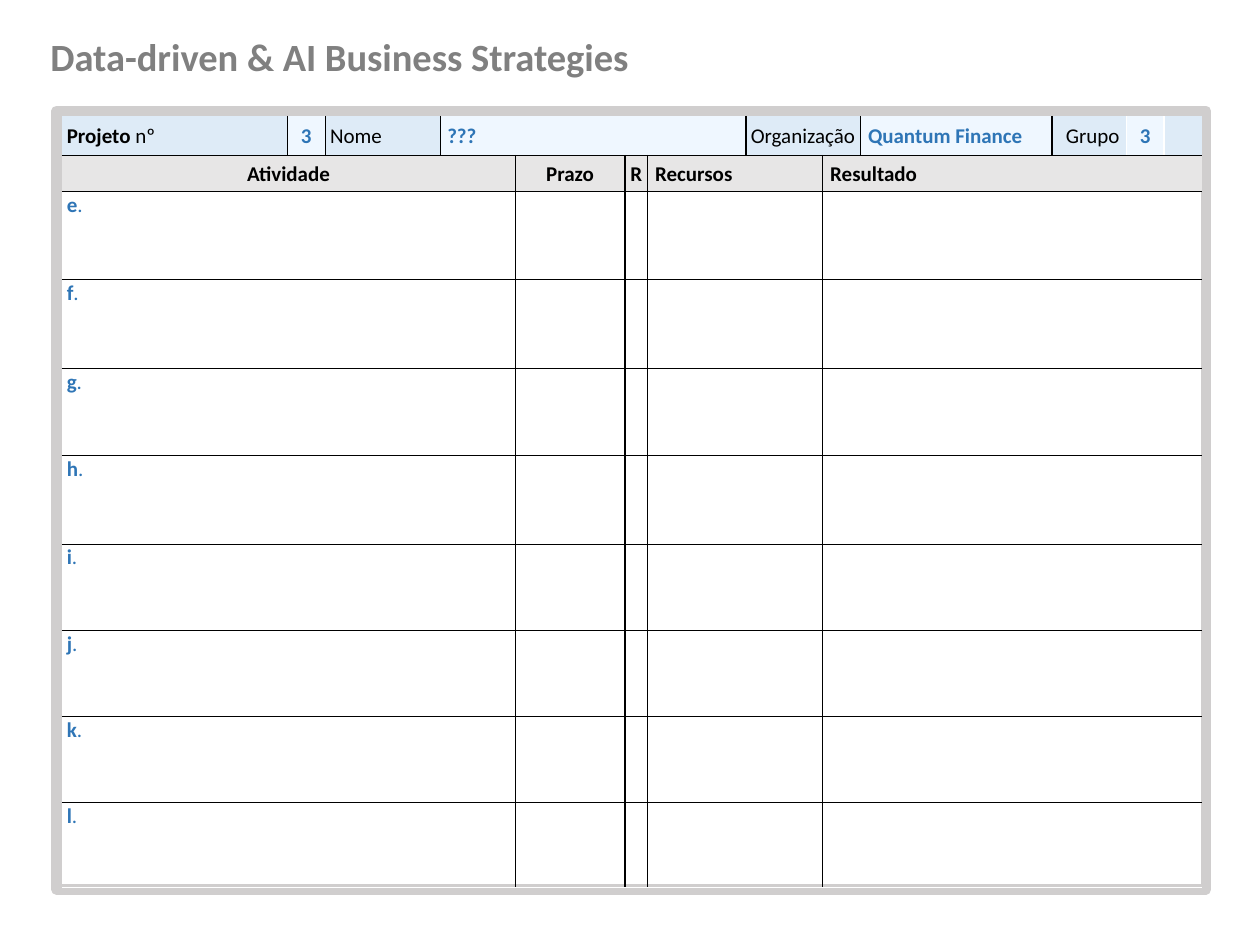
from lxml import etree
from pptx import Presentation
from pptx.dml.color import RGBColor
from pptx.enum.shapes import MSO_SHAPE
from pptx.enum.text import MSO_ANCHOR, MSO_AUTO_SIZE, PP_ALIGN
from pptx.oxml.ns import qn
from pptx.util import Inches, Pt

LEFT, CENTER = PP_ALIGN.LEFT, PP_ALIGN.CENTER
TOP, MIDDLE = MSO_ANCHOR.TOP, MSO_ANCHOR.MIDDLE
RECT = MSO_SHAPE.RECTANGLE
FIXED = MSO_AUTO_SIZE.NONE

BLACK = RGBColor(0x00, 0x00, 0x00)
WHITE = RGBColor(0xFF, 0xFF, 0xFF)
GRAY = RGBColor(0x80, 0x80, 0x80)
FRAME = RGBColor(0xD0, 0xCE, 0xCE)
HEAD = RGBColor(0xE7, 0xE6, 0xE6)
LABEL = RGBColor(0xDE, 0xEB, 0xF7)
ENTRY = RGBColor(0xEF, 0xF7, 0xFF)
BLUE = RGBColor(0x2E, 0x75, 0xB6)

FONT = "Calibri"
COLS = [1.79, 0.3, 0.91, 0.6, 0.87, 0.18, 0.78, 0.61, 0.3, 1.52, 0.59, 0.3, 0.3]
ROWS = [0.28, 0.28, 0.7, 0.71, 0.69, 0.7, 0.69, 0.68, 0.68, 0.68]
THIN, THICK, PALE = (BLACK, 0.25), (BLACK, 1), (WHITE, 1)
END = (WHITE, 0.25)
INSET = {
    "margin_left": Inches(0.01),
    "margin_top": Inches(0.01),
    "margin_right": Inches(0.01),
    "margin_bottom": 0,
}

PROJECT = [
    ([("Projeto ", True), ("nº", False)], 1, LABEL, BLACK, 0.03, THIN),
    ([("3", True)], 1, ENTRY, BLUE, None, THIN),
    ([("Nome", False)], 1, LABEL, BLACK, 0.03, THIN),
    ([("???", True)], 4, ENTRY, BLUE, 0.05, THICK),
    ([("Organização", False)], 2, LABEL, BLACK, 0.03, THIN),
    ([("Quantum Finance", True)], 1, ENTRY, BLUE, 0.05, THICK),
    ([("Grupo", False)], 1, LABEL, BLACK, 0.1, PALE),
    ([("3", True)], 1, ENTRY, BLUE, None, PALE),
    ([], 1, LABEL, BLACK, 0, None),
]
FIELDS = [
    ("Atividade", 4, None),
    ("Prazo", 1, None),
    ("R", 1, None),
    ("Recursos", 2, 0.05),
    ("Resultado", 5, 0.05),
]


def apply(item, form):
    for key, value in form.items():
        setattr(item, key, value)


def write(para, runs, size, color):
    for text, bold in runs:
        run = para.add_run()
        run.text = text
        apply(run.font, {"name": FONT, "size": Pt(size), "bold": bold})
        run.font.color.rgb = color


def edge(cell, side, line):
    color, width = line or (None, 0)
    props = cell._tc.get_or_add_tcPr()
    node = etree.SubElement(props, qn("a:ln" + side), w=str(Pt(width)))
    if line:
        fill = etree.SubElement(node, qn("a:solidFill"))
        etree.SubElement(fill, qn("a:srgbClr"), val=str(color))
    else:
        etree.SubElement(node, qn("a:noFill"))


def paint(cell, fill, lines):
    for side, line in zip("LRTB", lines):
        edge(cell, side, line)
    if fill:
        cell.fill.solid()
        cell.fill.fore_color.rgb = fill
    else:
        cell.fill.background()


def add_row(table, row, items, above, below, anchor):
    col, left = 0, None
    for runs, span, fill, color, indent, right in items:
        cell = table.cell(row, col)
        if span > 1:
            cell.merge(table.cell(row, col + span - 1))
        for part in range(col, col + span):
            paint(table.cell(row, part), fill, (left, right, above, below))
        apply(cell, {**INSET, "vertical_anchor": anchor})
        para = cell.text_frame.paragraphs[0]
        para.alignment = CENTER if indent is None else LEFT
        if indent:
            para._p.get_or_add_pPr().set("marL", str(Inches(indent)))
        write(para, runs, 12, color)
        col, left = col + span, right


def add_title(slide):
    title = slide.shapes.title
    apply(title, {
        "left": Inches(0.3),
        "top": Inches(0.21),
        "width": Inches(5.17),
        "height": Inches(0.47),
    })
    apply(title.text_frame, {
        "auto_size": FIXED,
        "word_wrap": True,
        "vertical_anchor": TOP,
    })
    para = title.text_frame.paragraphs[0]
    apply(para, {
        "alignment": LEFT,
        "line_spacing": 1,
        "space_before": 0,
        "space_after": Pt(2),
    })
    write(para, [("Data-driven & AI Business Strategies", True)], 22, GRAY)


def add_frame(slide):
    frame = slide.shapes.add_shape(
        RECT, Inches(0.45), Inches(0.88), Inches(9.12), Inches(6.18))
    frame.shadow.inherit = False
    frame.fill.background()
    frame.line.color.rgb = FRAME
    frame.line.width = Pt(6)


def add_plan(slide):
    table = slide.shapes.add_table(
        len(ROWS), len(COLS), Inches(0.49), Inches(0.92),
        Inches(sum(COLS)), Inches(sum(ROWS))).table
    apply(table, {"first_row": False, "horz_banding": False})
    for col, width in zip(table.columns, COLS):
        col.width = Inches(width)
    for row, height in zip(table.rows, ROWS):
        row.height = Inches(height)

    add_row(table, 0, PROJECT, None, THICK, MIDDLE)
    last = len(FIELDS) - 1
    rights = [THICK] * last + [None]
    heads = [([(text, True)], span, HEAD, BLACK, indent, right)
             for (text, span, indent), right in zip(FIELDS, rights)]
    add_row(table, 1, heads, THICK, THIN, MIDDLE)
    for row, mark in enumerate("efghijkl", 2):
        texts = [[(mark, True), (".", False)]] + [[]] * last
        items = [(runs, span, None, BLUE, 0.03, right)
                 for runs, (_, span, _), right in zip(texts, FIELDS, rights)]
        below = END if mark == "l" else THIN
        add_row(table, row, items, THIN, below, TOP)


def main():
    deck = Presentation()
    apply(deck, {"slide_width": Inches(10), "slide_height": Inches(7.5)})
    slide = deck.slides.add_slide(deck.slide_layouts[5])
    add_frame(slide)
    add_title(slide)
    add_plan(slide)
    deck.save("out.pptx")


if __name__ == "__main__":
    main()
